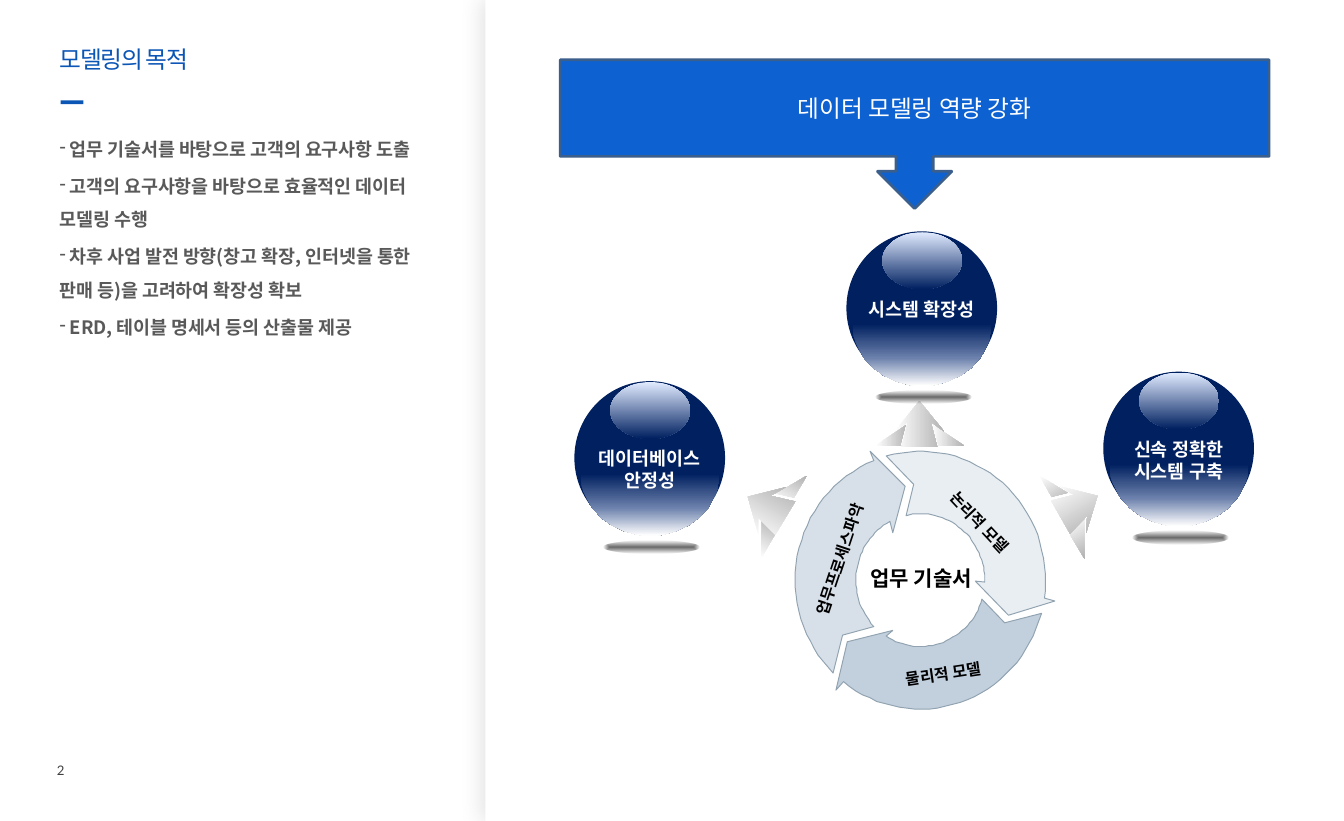
from math import cos, radians, sin

from pptx import Presentation
from pptx.dml.color import RGBColor
from pptx.enum.shapes import MSO_SHAPE
from pptx.enum.text import MSO_ANCHOR, PP_ALIGN
from pptx.oxml import parse_xml
from pptx.oxml.ns import nsdecls, qn
from pptx.util import Pt

PX = 9144  # EMU in one px, 100 px to the inch
ELLIPSE, ROUNDED = MSO_SHAPE.OVAL, MSO_SHAPE.ROUNDED_RECTANGLE
CALLOUT = MSO_SHAPE.DOWN_ARROW_CALLOUT
TOP, MIDDLE = MSO_ANCHOR.TOP, MSO_ANCHOR.MIDDLE
LEFT, CENTER = PP_ALIGN.LEFT, PP_ALIGN.CENTER
KOREAN = "Noto Sans CJK KR"

COLORS = {
    "white": "FFFFFF", "black": "000000", "title": "0B55B5", "body": "595959",
    "number": "404040", "banner": "0D61D1", "banner_line": "3A5F8C",
    "navy": "002060", "gloss": "E1EBFF", "glow_mid": "3C568A",
    "glow_light": "6C81AC", "silver": "B2B2B2", "panel_shadow": "808080",
    "ring_line": "91A3B1", "logical": "E9EEF3", "physical": "C2CFDC",
    "process": "D7E0E9",
}
FORMATS = {
    "number": ("number", {"size": Pt(10), "name": "Lato"}),
    "title": ("title", {"size": Pt(18), "name": KOREAN}),
    "body": ("body", {"size": Pt(14), "name": KOREAN, "bold": True}),
    "banner": ("white", {"size": Pt(18), "name": KOREAN}),
    "ball": ("white", {"size": Pt(14), "name": KOREAN, "bold": True}),
    "core": ("black", {"size": Pt(16), "name": KOREAN, "bold": True}),
    "ring": ("black", {"size": Pt(12), "name": KOREAN, "bold": True}),
}
GOALS = [
    "업무 기술서를 바탕으로 고객의 요구사항 도출",
    "고객의 요구사항을 바탕으로 효율적인 데이터 모델링 수행",
    "차후 사업 발전 방향(창고 확장, 인터넷을 통한 판매 등)을 고려하여 확장성 확보",
    "ERD, 테이블 명세서 등의 산출물 제공",
]
BALLS = [
    (1164, 392, ["신속 정확한", "시스템 구축"]),
    (893, 244, ["시스템 확장성"]),
    (606, 402, ["데이터베이스", "안정성"]),
]
RING_CENTER, RING_OUTER, RING_INNER = (971, 612), (132, 136), (68, 70)
# colour, outer arc, arrowhead, inner arc, notch at the tail
SEGMENTS = [
    ("physical", (15, 128), [(882, 728), (894, 677), (942, 665)], (122, 17), (1060, 657)),
    ("logical", (-106, 8), [(1113, 634), (1064, 649), (1029, 613)], (2, -103), (964, 511)),
    ("process", (134, 248), [(918, 476), (955, 513), (942, 562)], (242, 136), (889, 670)),
]
# gradient angle, two tail wings, arrow body
ARROWS = [
    (0, [[(990, 470), (983, 447), (1017, 470)], [(952, 470), (958, 447), (924, 470)]],
     [(951, 472), (958, 445), (944, 455), (970, 423), (996, 455), (982, 445), (989, 472)]),
    (60, [[(1129, 564), (1144, 547), (1144, 589)], [(1112, 528), (1133, 524), (1097, 502)]],
     [(1109, 528), (1133, 522), (1118, 513), (1158, 523), (1146, 562), (1147, 544), (1129, 563)]),
    (300, [[(836, 528), (815, 523), (851, 502)], [(818, 563), (804, 547), (803, 589)]],
     [(818, 564), (800, 546), (800, 563), (789, 524), (829, 514), (813, 523), (839, 529)]),
]


def color(name):
    return RGBColor.from_string(COLORS[name])


def style(shape, fill=None, line=None, width=1):
    shape.shadow.inherit = False
    if fill:
        shape.fill.solid()
        shape.fill.fore_color.rgb = color(fill)
    if line:
        shape.line.color.rgb = color(line)
        shape.line.width = Pt(width)
    else:
        shape.line.fill.background()
    return shape


def add_preset(page, kind, frame, fill=None, line=None, width=1):
    shape = page.shapes.add_shape(kind, *(PX * n for n in frame))
    return style(shape, fill, line, width)


def add_outline(page, points, fill=None, line=None, width=1):
    builder = page.shapes.build_freeform(*points[0], scale=PX)
    builder.add_line_segments(points[1:], close=True)
    return style(builder.convert_to_shape(), fill, line, width)


def set_gradient(shape, stops, direction):
    """Fill with (position, colour, opacity) stops, in percent."""
    stop_xml = "".join(
        f'<a:gs pos="{pos * 1000}"><a:srgbClr val="{COLORS[name]}">'
        f'<a:alpha val="{alpha * 1000}"/></a:srgbClr></a:gs>'
        for pos, name, alpha in stops)
    shape.fill.background()
    properties = shape._element.spPr
    properties.replace(properties.find(qn("a:noFill")), parse_xml(
        f'<a:gradFill {nsdecls("a")} rotWithShape="1"><a:gsLst>{stop_xml}</a:gsLst>'
        f'{direction}</a:gradFill>'))


def linear(angle):
    return f'<a:lin ang="{angle * 60000}" scaled="0"/>'


def set_shadow(shape, name, alpha, blur, distance, angle):
    shape._element.spPr.find(qn("a:effectLst")).append(parse_xml(
        f'<a:outerShdw {nsdecls("a")} blurRad="{Pt(blur)}" dist="{Pt(distance)}" '
        f'dir="{angle * 60000}" algn="ctr" rotWithShape="0"><a:srgbClr val="{COLORS[name]}">'
        f'<a:alpha val="{alpha * 1000}"/></a:srgbClr></a:outerShdw>'))


def write(frame, lines, format_name, align=CENTER, spacing=0):
    """Put one paragraph per line; spacing is in hundredths of a point."""
    color_name, values = FORMATS[format_name]
    for index, line in enumerate(lines):
        para = frame.add_paragraph() if index else frame.paragraphs[0]
        para.alignment = align
        span = para.add_run()
        span.text = line
        for key, value in values.items():
            setattr(span.font, key, value)
        span.font.color.rgb = color(color_name)
        properties = span._r.get_or_add_rPr()
        properties.append(parse_xml(
            f'<a:ea {nsdecls("a")} typeface="{values["name"]}"/>'))
        if spacing:
            properties.set("spc", str(spacing))


def add_text(page, frame, lines, format_name, align=CENTER, anchor=TOP,
             inset=True, wrap=True, turn=0, spacing=0):
    box = page.shapes.add_textbox(*(PX * n for n in frame))
    box.rotation = turn
    text = box.text_frame
    text.word_wrap = wrap
    text.vertical_anchor = anchor
    if not inset:
        for side in ("left", "top", "right", "bottom"):
            setattr(text, f"margin_{side}", 0)
    write(text, lines, format_name, align, spacing)
    return text


def arc(center, radii, start, end, steps=32):
    angles = [radians(start + (end - start) * n / steps) for n in range(steps + 1)]
    return [(center[0] + radii[0] * cos(a), center[1] + radii[1] * sin(a)) for a in angles]


def add_goals(page):
    lines = [f" {goal}" for goal in GOALS]
    text = add_text(page, (63, 134, 386, 394), lines, "body", LEFT, inset=False, spacing=-10)
    for index, para in enumerate(text.paragraphs):
        para.line_spacing = 1.5
        if index:
            para.space_before = Pt(3)
        properties = para._p.get_or_add_pPr()
        properties.set("marL", "0")
        properties.set("indent", "0")
        properties.append(parse_xml(f'<a:buChar {nsdecls("a")} char="-"/>'))


def add_ball(page, left, top, lines):
    add_preset(page, ELLIPSE, (left, top, 159, 162), "navy")
    glow = add_outline(page, arc((left + 80, top + 98), (73, 65), 0, 180))
    set_gradient(glow, [(0, "navy", 100), (30, "glow_mid", 100),
                        (55, "glow_light", 100), (100, "white", 100)], linear(90))
    gloss = add_preset(page, ELLIPSE, (left + 38, top + 1, 84, 60))
    set_gradient(gloss, [(0, "gloss", 100), (100, "navy", 100)], linear(90))
    ground = add_preset(page, ELLIPSE, (left + 31, top + 168, 101, 14))
    set_gradient(ground, [(0, "black", 59), (100, "black", 0)],
                 '<a:path path="shape"><a:fillToRect l="50000" t="50000" '
                 'r="50000" b="50000"/></a:path>')
    add_text(page, (left, top + 65, 159, 57), lines, "ball", wrap=False)


def add_arrow(page, angle, wings, body):
    for points in [*wings, body]:
        piece = add_outline(page, points)
        set_gradient(piece, [(0, "white", 100), (100, "silver", 100)], linear(angle))
    set_shadow(piece, "white", 100, 0, 2, 270)


def add_ring(page):
    for fill, outer, head, inner, notch in SEGMENTS:
        points = [*arc(RING_CENTER, RING_OUTER, *outer), *head,
                  *arc(RING_CENTER, RING_INNER, *inner), notch]
        add_outline(page, points, fill, "ring_line", 0.75)
    add_text(page, (894, 592, 156, 37), ["업무 기술서"], "core")
    for label, frame, turn in [
        ("업무프로세스파악", (813, 575, 146, 30), 288.5),
        ("논리적 모델", (982, 536, 103, 30), 47.1),
        ("물리적 모델", (895, 696, 201, 30), 351.6),
    ]:
        add_text(page, frame, [label], "ring", wrap=False, turn=turn)


def main():
    deck = Presentation()
    deck.slide_width, deck.slide_height = 1418 * PX, 866 * PX
    page = deck.slides.add_slide(deck.slide_layouts[6])

    add_text(page, (60, 803, 47, 20), ["2"], "number", LEFT, MIDDLE, inset=False)
    panel = add_preset(page, ROUNDED, (512, 0, 906, 866), "white")
    panel.adjustments[0] = 0
    set_shadow(panel, "panel_shadow", 20, 15, 3, 180)
    dash = add_preset(page, ROUNDED, (64, 106, 24, 4), "title")
    dash.adjustments[0] = 0.05
    add_text(page, (63, 47, 411, 55), ["모델링의 목적"], "title", LEFT,
             inset=False, spacing=-100)
    add_goals(page)

    for arrow in ARROWS:
        add_arrow(page, *arrow)
    add_ring(page)
    for ball in BALLS:
        add_ball(page, *ball)
    banner = add_preset(page, CALLOUT, (591, 63, 748, 157), "banner", "banner_line", 2)
    banner.text_frame.vertical_anchor = MIDDLE
    write(banner.text_frame, ["데이터 모델링 역량 강화"], "banner")
    deck.save("out.pptx")


if __name__ == "__main__":
    main()
